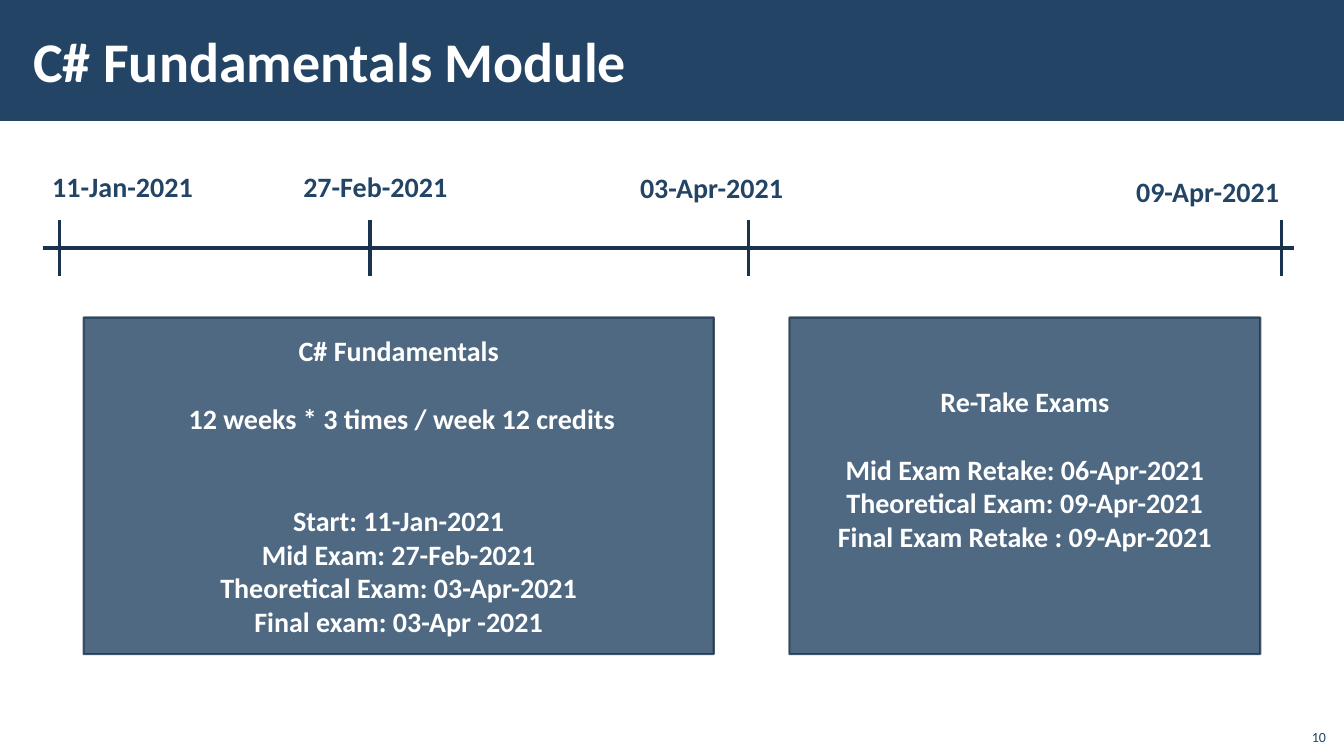
from lxml import etree
from pptx import Presentation
from pptx import util as u
from pptx.dml.color import RGBColor
from pptx.enum import shapes, text
from pptx.oxml.ns import qn

NAVY = RGBColor(0x23, 0x44, 0x65)
DARK = RGBColor(0x1A, 0x33, 0x4C)
WHITE = RGBColor(0xFF, 0xFF, 0xFF)
FONT = "Calibri"
WIDTH, HEIGHT = 13.33, 7.5
LINE_GAP = 24.4  # points, one line of 20 pt text

# tick position, label left, label top, date
MILESTONES = [
    (0.59, 0.42, 1.63, "11-Jan-2021"),
    (3.67, 2.91, 1.63, "27-Feb-2021"),
    (7.42, 6.25, 1.64, "03-Apr-2021"),
    (12.71, 11.17, 1.68, "09-Apr-2021"),
]
# each line with the number of empty line heights above it
MODULE = [
    ("C# Fundamentals", 0),
    (" 12 weeks * 3 times / week 12 credits", 1),
    ("Start: 11-Jan-2021", 2),
    ("Mid Exam: 27-Feb-2021", 0),
    ("Theoretical Exam: 03-Apr-2021", 0),
    ("Final exam: 03-Apr -2021", 0),
]
RETAKES = [
    ("Re-Take Exams", 0),
    ("Mid Exam Retake: 06-Apr-2021", 1),
    ("Тheoretical Exam: 09-Apr-2021", 0),
    ("Final Exam Retake : 09-Apr-2021", 0),
]


def inches(*lengths):
    return [u.Inches(length) for length in lengths]


def write(para, words, size, color, bold=True, align=text.PP_ALIGN.LEFT):
    para.alignment = align
    span = para.add_run()
    span.text = words
    span.font.name, span.font.size, span.font.bold = FONT, u.Pt(size), bold
    span.font.color.rgb = color


def add_label(page, box, words, size, **style):
    frame = page.shapes.add_textbox(*inches(*box)).text_frame
    frame.word_wrap = True
    write(frame.paragraphs[0], words, size, NAVY, **style)
    return frame


def add_rule(page, start, end):
    rule = page.shapes.add_connector(
        shapes.MSO_CONNECTOR.STRAIGHT, *inches(*start, *end))
    rule.line.color.rgb, rule.line.width = DARK, u.Pt(2.25)
    etree.SubElement(rule._element.spPr, qn("a:effectLst"))


def add_rectangle(page, box):
    panel = page.shapes.add_shape(shapes.MSO_SHAPE.RECTANGLE, *inches(*box))
    panel.shadow.inherit = False
    panel.fill.solid()
    panel.fill.fore_color.rgb = NAVY
    panel.line.fill.background()
    return panel


def make_translucent(panel, percent):
    """Apply one opacity to the fill and the outline."""
    for color in panel._element.spPr.iter(qn("a:srgbClr")):
        etree.SubElement(color, qn("a:alpha"), val=str(percent * 1000))


def add_header(page, box, words):
    left, top, width, height = box
    add_rectangle(page, box)
    title = page.shapes.title
    page.shapes._spTree.append(title._element)  # in front of the band
    title.left, title.top, title.width, title.height = inches(
        left + 0.21, top + 0.11, width * 0.8, height - 0.23)
    frame = title.text_frame
    frame.auto_size = text.MSO_AUTO_SIZE.NONE
    frame.vertical_anchor = text.MSO_ANCHOR.MIDDLE
    frame.margin_left = frame.margin_right = u.Inches(0.12)
    frame.margin_top = frame.margin_bottom = u.Inches(0.04)
    write(frame.paragraphs[0], words, 40, WHITE)


def add_timeline(page, left, right, axis):
    add_rule(page, (left, axis), (right, axis))
    for tick, label_left, label_top, date in MILESTONES:
        add_rule(page, (tick, axis - 0.28), (tick, axis + 0.28))
        add_label(page, (label_left, label_top, 1.7, 0.44), date, 20)


def add_panel(page, box, lines, lines_below=0):
    panel = add_rectangle(page, box)
    panel.line.color.rgb, panel.line.width = DARK, u.Pt(1.5)
    make_translucent(panel, 80)
    frame = panel.text_frame
    frame.word_wrap = True
    frame.vertical_anchor = text.MSO_ANCHOR.MIDDLE
    frame.margin_bottom = u.Inches(0.05) + u.Pt(lines_below * LINE_GAP)
    for index, (words, gap) in enumerate(lines):
        para = frame.add_paragraph() if index else frame.paragraphs[0]
        para.space_before = u.Pt(gap * LINE_GAP)
        write(para, words, 20, WHITE, align=text.PP_ALIGN.CENTER)


def add_page_number(page, box, number):
    frame = add_label(page, box, number, 10, bold=False,
                      align=text.PP_ALIGN.RIGHT)
    frame.vertical_anchor = text.MSO_ANCHOR.BOTTOM


def build_schedule(deck):
    page = deck.slides.add_slide(deck.slide_layouts[5])
    add_header(page, (0, 0, WIDTH, 1.2), "C# Fundamentals Module")
    add_timeline(page, 0.43, 12.83, 2.46)
    add_panel(page, (0.83, 3.15, 6.25, 3.34), MODULE)
    add_panel(page, (7.83, 3.15, 4.67, 3.34), RETAKES, lines_below=1)
    add_page_number(page, (WIDTH - 0.48, HEIGHT - 0.38, 0.4, 0.32), "10")


def main():
    deck = Presentation()
    deck.slide_width, deck.slide_height = inches(WIDTH, HEIGHT)
    build_schedule(deck)
    deck.save("out.pptx")


if __name__ == "__main__":
    main()
